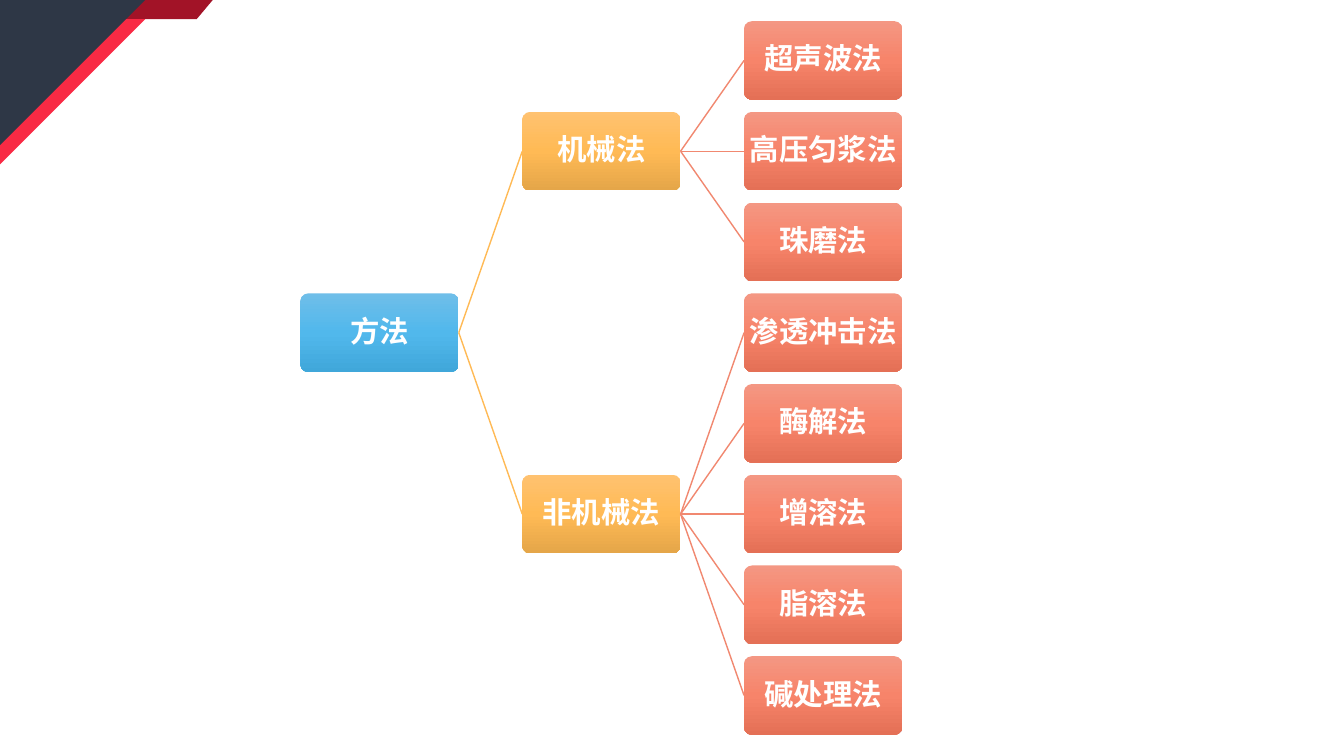
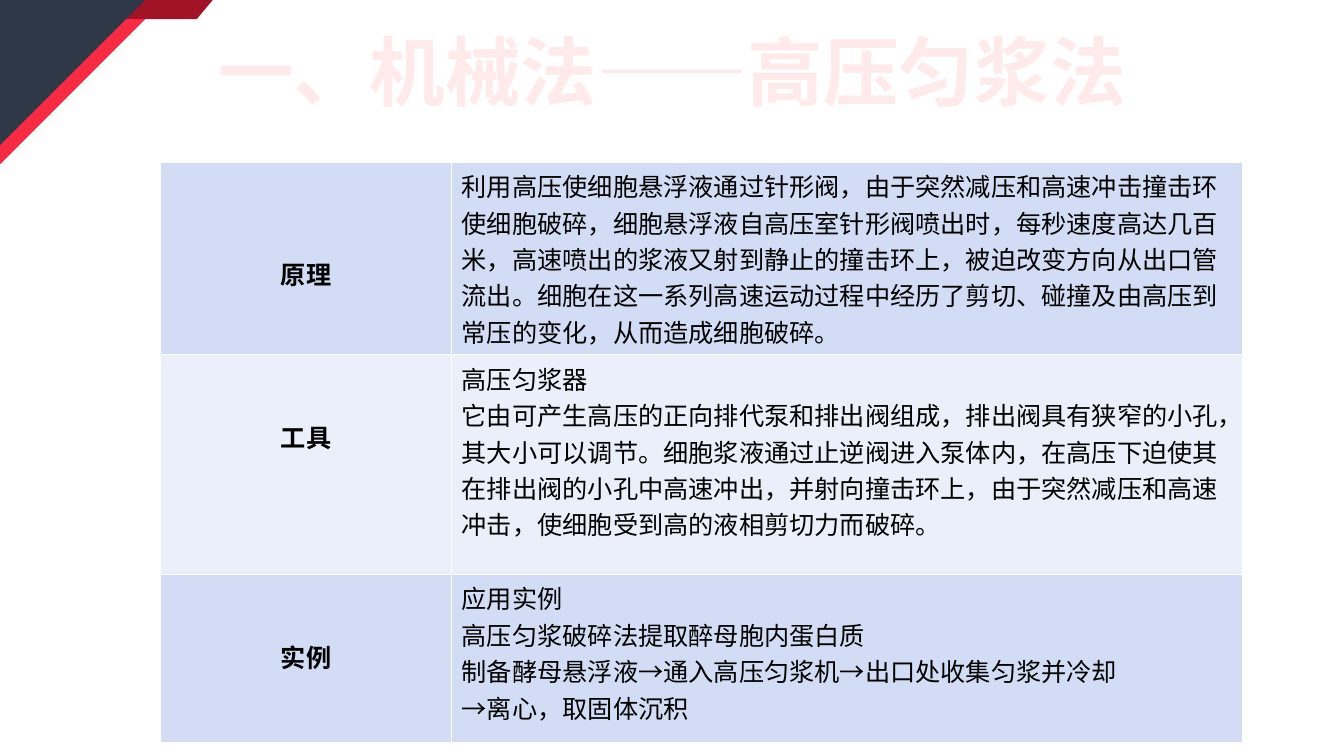
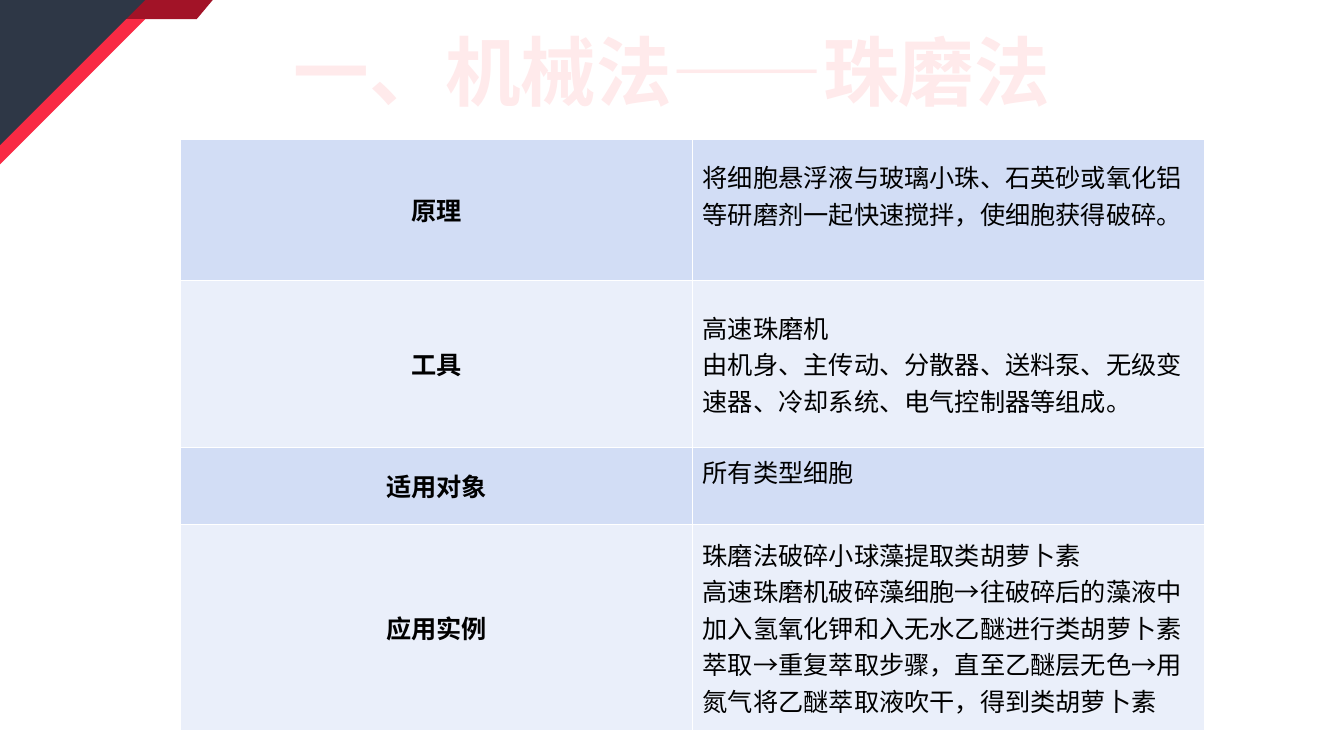
from lxml import etree
from pptx import Presentation
from pptx.dml.color import RGBColor
from pptx.enum.shapes import MSO_CONNECTOR, MSO_SHAPE
from pptx.enum.text import MSO_ANCHOR, PP_ALIGN
from pptx.oxml.ns import qn
from pptx.util import Inches, Pt

TRAPEZOID, TRIANGLE = MSO_SHAPE.TRAPEZOID, MSO_SHAPE.RIGHT_TRIANGLE
ROUNDED, STRAIGHT = MSO_SHAPE.ROUNDED_RECTANGLE, MSO_CONNECTOR.STRAIGHT
TOP, MIDDLE = MSO_ANCHOR.TOP, MSO_ANCHOR.MIDDLE
LEFT, CENTER = PP_ALIGN.LEFT, PP_ALIGN.CENTER

FONT = "Arial"
COLORS = {
    "white": "FFFFFF", "black": "000000", "title": "FFEAEB",
    "ribbon": "A21327", "corner_edge": "F92A44", "corner": "2E3746",
    "row_odd": "D2DDF5", "row_even": "EAEFFA",
    "branch_line": "FFBA55", "leaf_line": "F18870",
}

# Content: the tree of methods, one gradient per level
ROOT = "方法"
BRANCHES = [
    ("机械法", ["超声波法", "高压匀浆法", "珠磨法"]),
    ("非机械法", ["渗透冲击法", "酶解法", "增溶法", "脂溶法", "碱处理法"]),
]
LEVEL_GRADIENTS = [
    ("6FBEE9", "51B8EC", "40A7DA"),
    ("FFC270", "FFBA55", "E5A649"),
    ("F49783", "F7846A", "E47056"),
]

# Content: method tables. A row is height, label, label anchor, label top
# margin, paragraphs, text anchor, text bottom margin
PAD = 0.05
METHODS = [
    {
        "title": "一、机械法——高压匀浆法",
        "at": (1.59, 1.61), "columns": (2.89, 7.84),
        "rows": [
            (1.91, "原理", MIDDLE, 0.34, [
                "利用高压使细胞悬浮液通过针形阀，由于突然减压和高速冲击撞击环使细胞破碎，"
                "细胞悬浮液自高压室针形阀喷出时，每秒速度高达几百米，高速喷出的浆液又射到"
                "静止的撞击环上，被迫改变方向从出口管流出。细胞在这一系列高速运动过程中经历了"
                "剪切、碰撞及由高压到常压的变化，从而造成细胞破碎。"], TOP, PAD),
            (2.18, "工具", TOP, 0.63, [
                "高压匀浆器",
                "它由可产生高压的正向排代泵和排出阀组成，排出阀具有狭窄的小孔，其大小可以调节。"
                "细胞浆液通过止逆阀进入泵体内，在高压下迫使其在排出阀的小孔中高速冲出，"
                "并射向撞击环上，由于突然减压和高速冲击，使细胞受到高的液相剪切力而破碎。"],
             TOP, PAD),
            (1.67, "实例", TOP, 0.63, [
                "应用实例",
                "高压匀浆破碎法提取醉母胞内蛋白质",
                "制备酵母悬浮液→通入高压匀浆机→出口处收集匀浆并冷却",
                "→离心，取固体沉积"], TOP, PAD),
        ],
    },
    {
        "title": "一、机械法——珠磨法",
        "at": (1.79, 1.38), "columns": (5.08, 5.08),
        "rows": [
            (1.4, "原理", MIDDLE, PAD, [
                "将细胞悬浮液与玻璃小珠、石英砂或氧化铝等研磨剂一起快速搅拌，使细胞获得破碎。"],
             MIDDLE, 0.34),
            (1.66, "工具", MIDDLE, PAD, [
                "高速珠磨机",
                "由机身、主传动、分散器、送料泵、无级变速器、冷却系统、电气控制器等组成。"],
             MIDDLE, PAD),
            (0.76, "适用对象", MIDDLE, PAD, ["所有类型细胞"], MIDDLE, 0.34),
            (2.05, "应用实例", MIDDLE, PAD, [
                "珠磨法破碎小球藻提取类胡萝卜素",
                "高速珠磨机破碎藻细胞→往破碎后的藻液中加入氢氧化钾和入无水乙醚进行类胡萝卜素萃取"
                "→重复萃取步骤，直至乙醚层无色→用氮气将乙醚萃取液吹干，得到类胡萝卜素"],
             MIDDLE, PAD),
        ],
    },
]

# Layout
SLIDE_W, SLIDE_H = 13.33, 7.5
NODE_W, NODE_H = 1.57, 0.78
TREE_LEFT, TREE_TOP = 2.98, 0.21
LEVEL_STEP, LEAF_STEP = 2.2, 0.9


def rgb(name):
    return RGBColor.from_string(COLORS[name])


def write(frame, paragraphs, size, color, bold, align):
    frame.word_wrap = True
    for i, text in enumerate(paragraphs):
        para = frame.paragraphs[0] if i == 0 else frame.add_paragraph()
        para.alignment = align
        run = para.add_run()
        run.text = text
        run.font.name, run.font.size, run.font.bold = FONT, Pt(size), bold
        run.font.color.rgb = rgb(color)


def add_plain(slide, kind, left, top, width, height):
    shape = slide.shapes.add_shape(
        kind, Inches(left), Inches(top), Inches(width), Inches(height))
    shape.shadow.inherit = False
    shape.line.fill.background()
    return shape


def new_slide(prs):
    """Blank slide with the corner decoration."""
    slide = prs.slides.add_slide(prs.slide_layouts[6])
    for kind, top, width, height, turn, color in (
            (TRAPEZOID, 0, 2.11, 0.19, 180, "ribbon"),
            (TRIANGLE, 0.19, 1.44, 1.44, 90, "corner_edge"),
            (TRIANGLE, 0, 1.44, 1.44, 90, "corner")):
        part = add_plain(slide, kind, 0, top, width, height)
        part.rotation = turn
        part.fill.solid()
        part.fill.fore_color.rgb = rgb(color)
        if kind == TRAPEZOID:
            part.adjustments[0] = 0.84
    return slide


def fill_gradient(shape, stops):
    shape.fill.gradient()
    shape.fill.gradient_angle = 270
    stop_list = shape._element.spPr.find(".//" + qn("a:gsLst"))
    for old in list(stop_list):
        stop_list.remove(old)
    for i, color in enumerate(stops):
        stop = etree.SubElement(stop_list, qn("a:gs"), pos=str(i * 50000))
        etree.SubElement(stop, qn("a:srgbClr"), val=color)


def add_node(slide, text, level, row):
    node = add_plain(slide, ROUNDED, TREE_LEFT + level * LEVEL_STEP,
                     TREE_TOP + row * LEAF_STEP, NODE_W, NODE_H)
    node.adjustments[0] = 0.1
    fill_gradient(node, LEVEL_GRADIENTS[level])
    frame = node.text_frame
    frame.margin_left = frame.margin_right = Inches(0.03)
    frame.margin_top = frame.margin_bottom = Inches(0.03)
    frame.vertical_anchor = MIDDLE
    write(frame, [text], 21, "white", True, CENTER)
    frame.paragraphs[0].line_spacing = 0.9
    frame.paragraphs[0].space_after = Pt(7.35)
    return node


def join(slide, parent, child, color):
    link = slide.shapes.add_connector(STRAIGHT, 0, 0, 0, 0)
    link.begin_connect(parent, 3)
    link.end_connect(child, 1)
    link.line.color.rgb = rgb(color)
    link.line.width = Pt(1)
    etree.SubElement(link._element.spPr, qn("a:effectLst"))


def add_tree(slide):
    """Every parent sits halfway between its first and last child."""
    branches, branch_rows, first = [], [], 0
    for name, leaves in BRANCHES:
        row = first + (len(leaves) - 1) / 2
        branch = add_node(slide, name, 1, row)
        for i, leaf in enumerate(leaves):
            join(slide, branch, add_node(slide, leaf, 2, first + i), "leaf_line")
        branches.append(branch)
        branch_rows.append(row)
        first += len(leaves)
    root = add_node(slide, ROOT, 0, (branch_rows[0] + branch_rows[-1]) / 2)
    for branch in branches:
        join(slide, root, branch, "branch_line")


def add_title(slide, text):
    box = slide.shapes.add_textbox(
        Inches(0), Inches(0.15), Inches(SLIDE_W), Inches(1.1))
    box.text_frame.vertical_anchor = MIDDLE
    write(box.text_frame, [text], 54, "title", True, CENTER)


def style_cell(cell, color, anchor, top, bottom):
    props = cell._tc.get_or_add_tcPr()
    for side in ("a:lnL", "a:lnR", "a:lnT", "a:lnB"):
        border = etree.SubElement(props, qn(side), w=str(Pt(1)))
        paint = etree.SubElement(border, qn("a:solidFill"))
        etree.SubElement(paint, qn("a:srgbClr"), val=COLORS["white"])
    cell.fill.solid()
    cell.fill.fore_color.rgb = rgb(color)
    cell.vertical_anchor = anchor
    cell.margin_top, cell.margin_bottom = Inches(top), Inches(bottom)


def add_method_table(slide, method):
    rows, columns = method["rows"], method["columns"]
    left, top = method["at"]
    table = slide.shapes.add_table(
        len(rows), len(columns), Inches(left), Inches(top),
        Inches(sum(columns)), Inches(sum(row[0] for row in rows))).table
    table.first_row = table.horz_banding = False
    for column, width in zip(table.columns, columns):
        column.width = Inches(width)
    for i, (height, label, label_anchor, label_top,
            paragraphs, text_anchor, text_bottom) in enumerate(rows):
        table.rows[i].height = Inches(height)
        color = "row_even" if i % 2 else "row_odd"
        label_cell, text_cell = table.cell(i, 0), table.cell(i, 1)
        style_cell(label_cell, color, label_anchor, label_top, PAD)
        write(label_cell.text_frame, [label], 18, "black", True, CENTER)
        style_cell(text_cell, color, text_anchor, PAD, text_bottom)
        write(text_cell.text_frame, paragraphs, 18, "black", False, LEFT)


def main():
    prs = Presentation()
    prs.slide_width, prs.slide_height = Inches(SLIDE_W), Inches(SLIDE_H)
    add_tree(new_slide(prs))
    for method in METHODS:
        slide = new_slide(prs)
        add_title(slide, method["title"])
        add_method_table(slide, method)
    prs.save("out.pptx")


if __name__ == "__main__":
    main()
